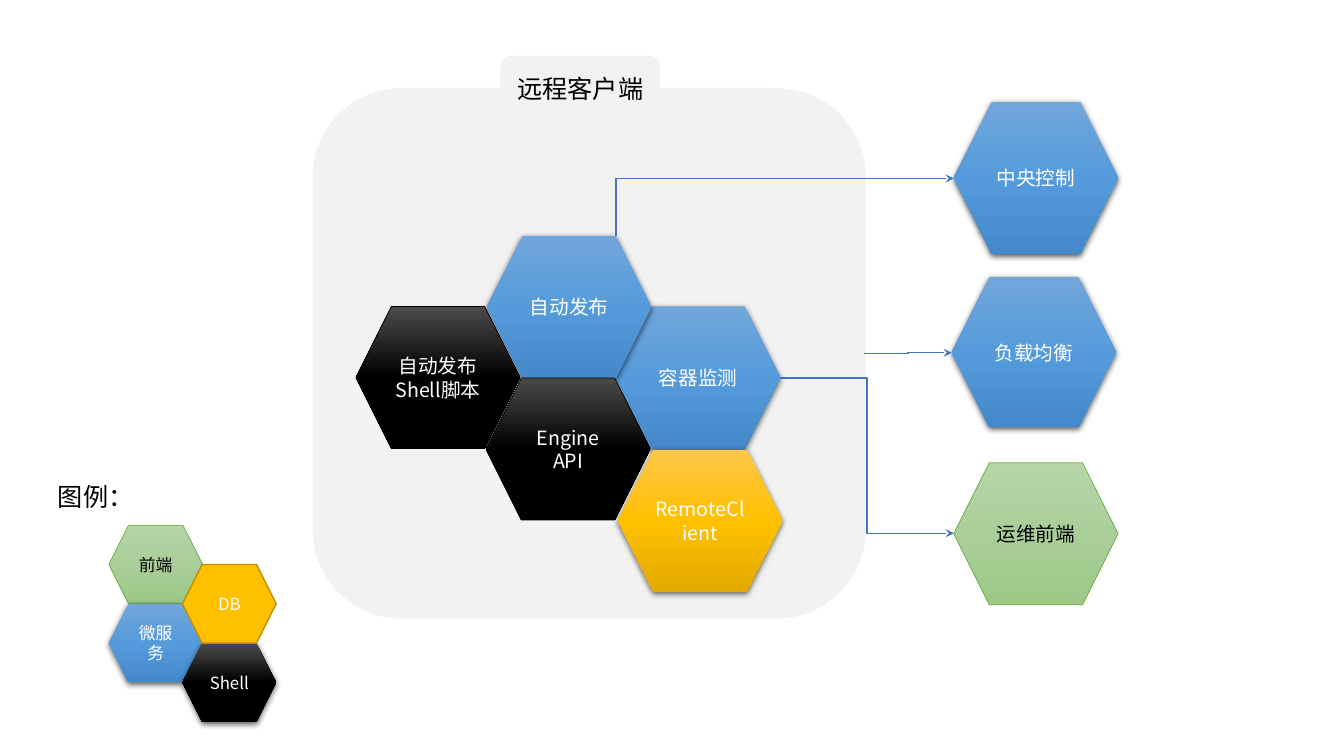
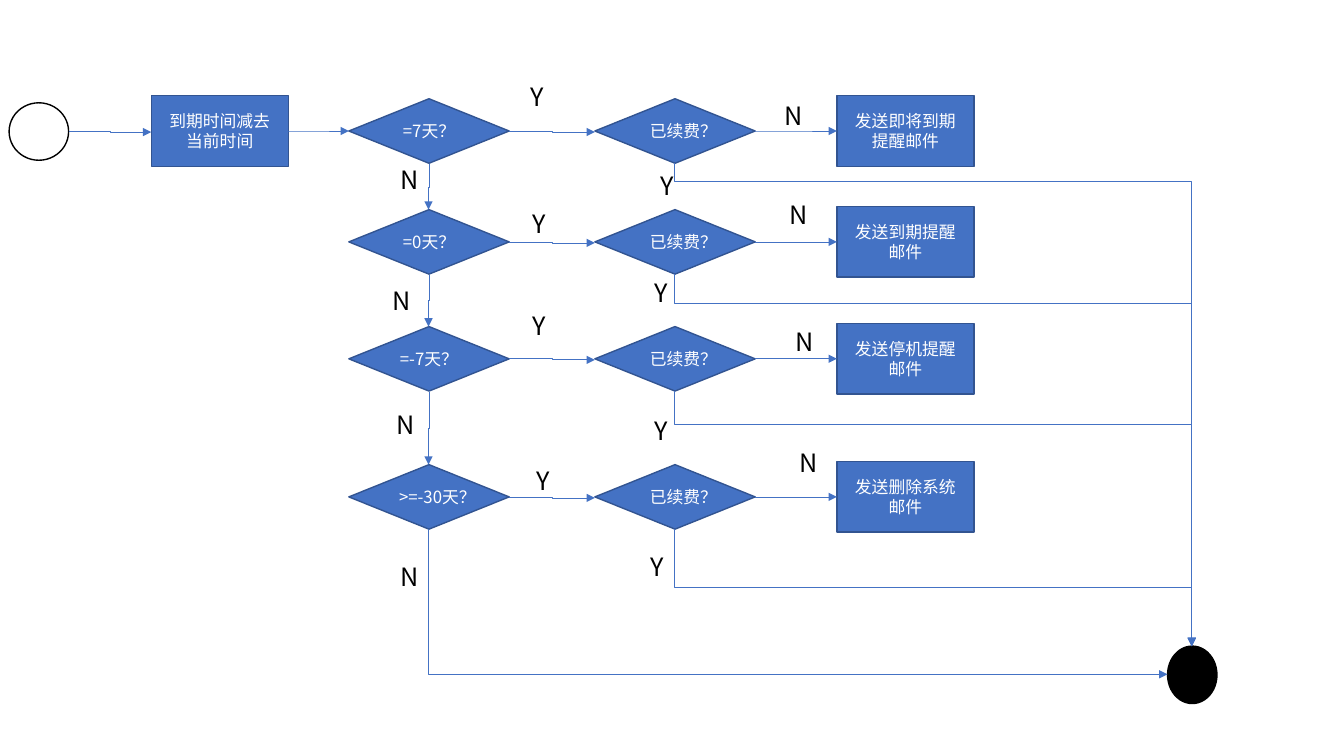
"""Build a client architecture diagram and a renewal reminder flow."""
from lxml import etree
from copy import deepcopy
from pptx import Presentation
from pptx import util as u
from pptx.dml.color import RGBColor
from pptx.enum import shapes, text
from pptx.oxml.ns import qn

FONT = "Noto Sans CJK SC"
HEX = {
    "white": "FFFFFF", "black": "000000", "panel": "F2F2F2",
    "blue": "4472C4", "navy": "325491", "gold": "FFC000",
    "rust": "BD8E00", "leaf": "70AD47",
}
FADES = {
    "green": ("B5D5A7", "AACE9A", "9CC987"),
    "sky": ("71A6DB", "559BDB", "448ACA"),
    "ink": ("4B4B4B", "000000", "000000"),
    "amber": ("FFC64B", "FFC000", "E3AB00"),
}
KIND = shapes.MSO_SHAPE


def rgb(name):
    """Return a named or literal colour."""
    return RGBColor.from_string(HEX.get(name, name))


def write(frame, words, size, ink, align=None):
    """Put each line of words in its own paragraph as one run."""
    for num, line in enumerate(words.split("\n")):
        para = frame.add_paragraph() if num else frame.paragraphs[0]
        para.alignment = align
        run = para.add_run()
        run.text = line
        run.font.size = u.Pt(size)
        run.font.color.rgb = rgb(ink)
        run.font.name = FONT
        props = run.font._element
        etree.SubElement(props, qn("a:ea"), typeface=FONT)


def fade(shape, tones):
    """Fill a shape with a three-stop gradient from top to bottom."""
    shape.fill.gradient()
    shape.fill.gradient_angle = 270
    stops = shape._element.spPr.find(".//" + qn("a:gsLst"))
    stops.append(deepcopy(stops[0]))
    for stop, tone, place in zip(shape.fill.gradient_stops, tones, (0, 0.5, 1)):
        stop.color.rgb = rgb(tone)
        stop.position = place


def shade(shape):
    """Cast a soft black shadow below a shape."""
    glow = shape._element.spPr.find(qn("a:effectLst"))
    cast = etree.SubElement(glow, qn("a:outerShdw"), blurRad="57150",
                            dist="19050", dir="5400000", algn="ctr", rotWithShape="0")
    tint = etree.SubElement(cast, qn("a:srgbClr"), val=HEX["black"])
    etree.SubElement(tint, qn("a:alpha"), val="63000")


def block(page, kind, box, fill, line=None, words="", size=12, ink="white", width=1):
    """Add a preset shape with centred text."""
    shape = page.shapes.add_shape(kind, *map(u.Inches, box))
    shape.shadow.inherit = False
    if fill in FADES:
        fade(shape, FADES[fill])
    else:
        shape.fill.solid()
        shape.fill.fore_color.rgb = rgb(fill)
    if line:
        shape.line.color.rgb = rgb(line)
        shape.line.width = u.Pt(width)
    else:
        shape.line.fill.background()
    if words:
        frame = shape.text_frame
        frame.word_wrap = True
        frame.vertical_anchor = text.MSO_ANCHOR.MIDDLE
        write(frame, words, size, ink, text.PP_ALIGN.CENTER)
    return shape


def cell(page, box, fill, words, size, line=None, width=0.5):
    """Add a hexagon; one without an outline gets a shadow."""
    ink = "black" if fill == "green" else "white"
    shape = block(page, KIND.HEXAGON, box, fill, line, words, size, ink, width)
    if not line:
        shade(shape)


def mark(page, left, top, words):
    """Add a branch label."""
    wide = 0.34 if words == "Y" else 0.39
    frame = page.shapes.add_textbox(*map(u.Inches, (left, top, wide, 0.4))).text_frame
    frame.word_wrap = False
    write(frame, words, 18, "black")


def link(page, start, end, width=0.5, tip="triangle", side="tailEnd"):
    """Add an elbow arrow that leaves its start sideways."""
    wire = page.shapes.add_connector(
        shapes.MSO_CONNECTOR.ELBOW, *map(u.Inches, (*start, *end)))
    wire.line.color.rgb = rgb("blue")
    wire.line.width = u.Pt(width)
    props = wire._element.spPr
    etree.SubElement(props.find(qn("a:ln")), qn("a:" + side), type=tip)
    etree.SubElement(props, qn("a:effectLst"))
    return props


def hook(page, head, base, **style):
    """Add a one-bend arrow whose head side is horizontal."""
    props = link(page, head, base, side="headEnd", **style)
    props.find(qn("a:prstGeom")).set("prst", "bentConnector2")


def drop(page, start, end, bend=0.5):
    """Add an elbow arrow that leaves its start downwards."""
    midx, midy = (start[0] + end[0]) / 2, (start[1] + end[1]) / 2
    offx, offy = start[0] - midx, start[1] - midy
    turn = 1 if offx >= 0 else -1
    props = link(page, (midx + turn * offy, midy - turn * offx),
                 (midx - turn * offy, midy + turn * offx))
    props.find(qn("a:xfrm")).set("rot", "5400000" if turn > 0 else "16200000")
    guides = props.find(qn("a:prstGeom")).find(qn("a:avLst"))
    etree.SubElement(guides, qn("a:gd"), name="adj1", fmla=f"val {round(bend * 100000)}")


def client(page):
    """Draw the remote client diagram with its legend."""
    legend = (
        (1.08, 5.21, "green", "前端", "leaf", 0.5),
        (1.08, 5.99, "sky", "微服务", None, 0),
        (1.81, 6.38, "ink", "Shell", None, 0),
        (1.81, 5.6, "gold", "DB", "rust", 1),
    )
    for left, top, fill, words, line, width in legend:
        cell(page, (left, top, 0.93, 0.78), fill, words, 12, line, width)
    block(page, KIND.RECTANGLE, (0.43, 4.75, 0.79, 0.36), "white", None, "图例：", 18, "black")
    block(page, KIND.ROUNDED_RECTANGLE, (3.11, 0.88, 5.47, 5.25), "panel", "panel")
    block(page, KIND.ROUNDED_RECTANGLE, (4.97, 0.56, 1.57, 0.63), "panel", "panel",
          "远程客户端", 18, "black")
    parts = (
        (9.46, 4.59, 1.41, "green", "运维前端", "leaf"),
        (9.46, 1.01, 1.51, "sky", "中央控制", None),
        (9.44, 2.75, 1.49, "sky", "负载均衡", None),
        (6.11, 3.04, 1.41, "sky", "容器监测", None),
        (4.83, 2.34, 1.41, "sky", "自动发布", None),
        (3.53, 3.04, 1.41, "ink", "自动发布\nShell脚本", "black"),
        (4.82, 3.75, 1.41, "ink", "Engine\nAPI", "black"),
        (6.13, 4.46, 1.41, "amber", "RemoteClient", None),
    )
    for left, top, high, fill, words, line in parts:
        cell(page, (left, top, 1.63, high), fill, words, 14, line)
    style = {"width": 1, "tip": "stealth"}
    link(page, (7.74, 3.75), (9.46, 5.29), **style)
    hook(page, (9.46, 1.77), (6.11, 2.34), **style)
    link(page, (8.57, 3.51), (9.44, 3.5), **style)


def task(page, left, mid, words):
    """Add a process box centred on a row."""
    block(page, KIND.FLOWCHART_PROCESS, (left, mid - 0.35, 1.36, 0.7), "blue", "navy", words)


def ask(page, left, mid, words):
    """Add a decision diamond centred on a row."""
    block(page, KIND.FLOWCHART_DECISION, (left, mid - 0.32, 1.59, 0.64), "blue", "navy", words)


def flow(page):
    """Draw the renewal reminder flow."""
    rows = (
        (1.3, "=7天？", "发送即将到期提醒邮件", 1.8),
        (2.4, "=0天？", "发送到期提醒邮件", 3.01),
        (3.56, "=-7天？", "发送停机提醒邮件", 4.21),
        (4.93, ">=-30天？", "发送删除系统邮件", 5.83),
    )
    goal = (11.82, 6.41)
    block(page, KIND.FLOWCHART_CONNECTOR, (0.09, 1.02, 0.59, 0.57), "white", "black")
    block(page, KIND.FLOWCHART_CONNECTOR, (11.58, 6.41, 0.49, 0.57), "black", "black")
    task(page, 1.5, 1.3, "到期时间减去当前时间")
    link(page, (0.68, 1.3), (1.5, 1.31))
    link(page, (2.85, 1.3), (3.46, 1.3))
    for mid, test, mail, lane in rows:
        ask(page, 3.46, mid, test)
        ask(page, 5.9, mid, "已续费？")
        task(page, 8.3, mid, mail)
        link(page, (5.05, mid), (5.9, mid + 0.01))
        link(page, (7.49, mid), (8.3, mid))
        base = mid + 0.32
        drop(page, (6.69, base), goal, (lane - base) / (goal[1] - base))
    for upper, lower in zip(rows, rows[1:]):
        drop(page, (4.26, upper[0] + 0.33), (4.25, lower[0] - 0.32))
    hook(page, (11.58, 6.69), (4.25, 5.25))
    marks = {
        "Y": ((5.16, 0.76), (5.18, 2.02), (5.18, 3.03), (5.22, 4.57),
              (6.45, 1.64), (6.39, 2.7), (6.39, 4.07), (6.35, 5.42)),
        "N": ((7.68, 0.95), (7.73, 1.93), (7.79, 3.19), (7.83, 4.39),
              (3.87, 1.58), (3.79, 2.78), (3.83, 4.01), (3.87, 5.52)),
    }
    for words, spots in marks.items():
        for left, top in spots:
            mark(page, left, top, words)


def main():
    """Build and save the deck."""
    deck = Presentation()
    deck.slide_width, deck.slide_height = u.Inches(13.33), u.Inches(7.5)
    for draw in (client, flow):
        draw(deck.slides.add_slide(deck.slide_layouts[6]))
    deck.save("out.pptx")


if __name__ == "__main__":
    main()
